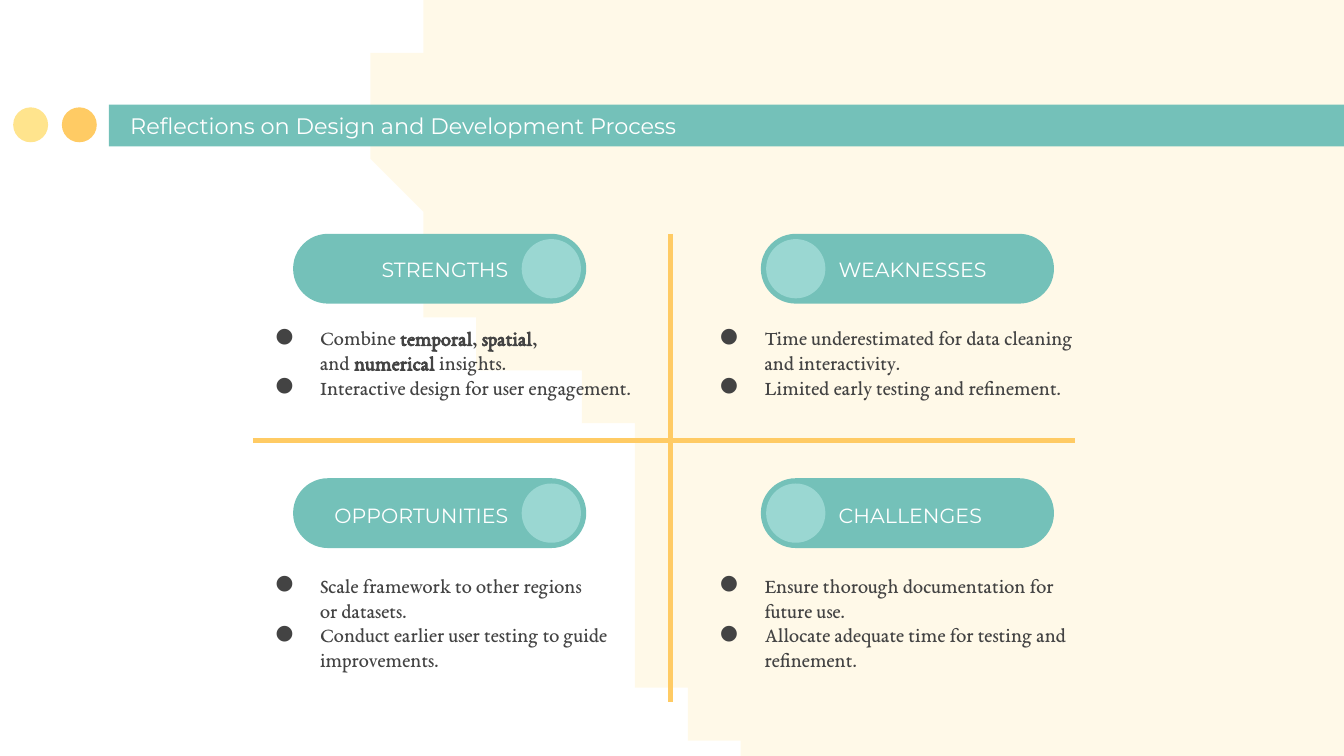
"""Build a four-quadrant reflection slide on a design and development process."""
from lxml.etree import SubElement
from pptx import Presentation
from pptx.dml.color import RGBColor
from pptx.enum.shapes import MSO_CONNECTOR as Connector, MSO_SHAPE as Shape
from pptx.enum.text import MSO_ANCHOR as Anchor, PP_ALIGN as Align
from pptx.oxml.ns import qn
from pptx.util import Cm, Pt

TEAL = RGBColor(0x74, 0xC1, 0xB9)
PALE_TEAL = RGBColor(0x9A, 0xD7, 0xD2)
AMBER = RGBColor(0xFF, 0xCB, 0x64)
YELLOW = RGBColor(0xFF, 0xE4, 0x8D)
WHITE = RGBColor(0xFF, 0xFF, 0xFF)
INK = RGBColor(0x43, 0x43, 0x43)
HEADING_FONT, BODY_FONT = "Montserrat", "EB Garamond"

TITLE = "Reflections on Design and Development Process"
BOLD_MARK = "**"
QUADRANTS = [
    (0, 0, "STRENGTHS", [
        (True, "Combine **temporal**, **spatial**,"),
        (False, "and **numerical** insights."),
        (True, "Interactive design for user engagement.")]),
    (1, 0, "WEAKNESSES", [
        (True, "Time underestimated for data cleaning"),
        (False, "and interactivity."),
        (True, "Limited early testing and refinement.")]),
    (0, 1, "OPPORTUNITIES", [
        (True, "Scale framework to other regions"),
        (False, "or datasets."),
        (True, "Conduct earlier user testing to guide improvements.")]),
    (1, 1, "CHALLENGES", [
        (True, "Ensure thorough documentation for future use."),
        (True, "Allocate adequate time for testing and refinement.")]),
]
BLOB_START = (8.33, -0.89)
BLOB_SEGMENTS = [
    [(7.65, 0.23), (7.26, 1.57), (7.49, 3.02)],
    [(8.18, 7.67), (11.63, 6.76), (12.14, 8.66)],
    [(12.27, 9.12), (12.24, 9.73), (12.14, 10.41)],
    [(11.79, 12.7), (13.49, 14.76), (15.7, 14.76)],
    [(15.82, 14.76)],
    [(16.46, 14.73), (17.09, 14.71), (17.68, 14.71)],
    [(18.47, 14.71), (19.18, 14.73), (19.79, 14.78)],
    [(21.92, 14.99), (21.16, 18.42), (25.22, 19.51)],
    [(25.6, 19.51)],
    [(25.93, 19.51), (26.19, 19.23), (26.19, 18.9)],
    [(26.19, -0.3)],
    [(26.19, -0.56), (26.01, -0.81), (25.78, -0.89)],
]
CURVE_STEPS = 24

PILL_WIDTH, PILL_HEIGHT = 5.54, 1.32
KNOB, KNOB_INSET = 1.12, 0.1
PILL_LEFTS, PILL_TOPS = (5.54, 14.38), (4.42, 9.04)
LABEL_WIDTH, LABEL_TOPS = 3.94, (4.62, 9.27)
BODY_LEFTS, BODY_WIDTHS, BODY_TOPS = (4.78, 13.18), (7.9, 7.44), (6.12, 10.8)
AXES = [(4.78, 8.33, 20.32, 8.33), (12.67, 4.42, 12.67, 13.26)]


def paint(shape, color):
    shape.shadow.inherit = False
    shape.fill.solid()
    shape.fill.fore_color.rgb = color
    shape.line.fill.background()


def add_filled(page, kind, left, top, width, height, color):
    shape = page.shapes.add_shape(kind, Cm(left), Cm(top), Cm(width), Cm(height))
    paint(shape, color)
    return shape


def curve_points(start, controls):
    if len(controls) == 1:
        return controls
    points = []
    for step in range(1, CURVE_STEPS + 1):
        t = step / CURVE_STEPS
        weights = ((1 - t) ** 3, 3 * t * (1 - t) ** 2, 3 * t * t * (1 - t), t ** 3)
        corners = [start, *controls]
        points.append(tuple(sum(w * c[axis] for w, c in zip(weights, corners))
                            for axis in (0, 1)))
    return points


def add_blob(page):
    points, start = [], BLOB_START
    for controls in BLOB_SEGMENTS:
        points += curve_points(start, controls)
        start = controls[-1]
    builder = page.shapes.build_freeform(*BLOB_START, scale=Cm(1))
    builder.add_line_segments(points, close=True)
    blob = builder.convert_to_shape()
    paint(blob, YELLOW)
    color = blob.fill._xPr.find(qn("a:solidFill"))[0]
    SubElement(color, qn("a:alpha"), val="20000")


def add_box(page, left, top, width, height, inset):
    box = page.shapes.add_textbox(Cm(left), Cm(top), Cm(width), Cm(height))
    frame = box.text_frame
    frame.word_wrap = True
    frame.margin_left = frame.margin_right = Cm(inset)
    frame.margin_top = frame.margin_bottom = Cm(inset)
    return frame


def style(font, name, size, color):
    font.name, font.size, font.color.rgb = name, Pt(size), color


def add_heading(page, text, left, top, width, size, align=Align.LEFT):
    frame = add_box(page, left, top, width, 0.86, 0.25)
    frame.text = text
    para = frame.paragraphs[0]
    para.alignment = align
    style(para.runs[0].font, HEADING_FONT, size, WHITE)
    return frame


def indent(para, bulleted):
    properties = para._p.get_or_add_pPr()
    properties.set("marL", str(Cm(1.27)))
    properties.set("indent", str(Cm(-0.84 if bulleted else 0)))
    if bulleted:
        color = SubElement(properties, qn("a:buClr"))
        SubElement(color, qn("a:srgbClr"), val=str(INK))
        SubElement(properties, qn("a:buFont"), typeface=BODY_FONT)
        SubElement(properties, qn("a:buChar"), char="●")
    else:
        SubElement(properties, qn("a:buNone"))


def add_body(page, lines, left, top, width):
    frame = add_box(page, left, top, width, 1.57, 0)
    frame.margin_top = Cm(0.03)
    for number, (bulleted, text) in enumerate(lines):
        para = frame.paragraphs[0] if number == 0 else frame.add_paragraph()
        indent(para, bulleted)
        for position, part in enumerate(text.split(BOLD_MARK)):
            span = para.add_run()
            span.text = part
            style(span.font, BODY_FONT, 11, INK)
            span.font.bold = position % 2 == 1


def add_quadrant(page, column, row, label, lines):
    left, top = PILL_LEFTS[column], PILL_TOPS[row]
    pill = add_filled(page, Shape.ROUNDED_RECTANGLE, left, top,
                      PILL_WIDTH, PILL_HEIGHT, TEAL)
    pill.adjustments[0] = 0.5
    inner = KNOB_INSET + KNOB
    if column == 0:
        knob_left = left + PILL_WIDTH - inner
        label_left, align = knob_left - LABEL_WIDTH, Align.RIGHT
    else:
        knob_left = left + KNOB_INSET
        label_left, align = knob_left + KNOB, Align.LEFT
    add_filled(page, Shape.OVAL, knob_left, top + KNOB_INSET, KNOB, KNOB, PALE_TEAL)
    add_heading(page, label, label_left, LABEL_TOPS[row], LABEL_WIDTH, 11, align)
    add_body(page, lines, BODY_LEFTS[column], BODY_TOPS[row], BODY_WIDTHS[column])


def add_axis(page, ends):
    axis = page.shapes.add_connector(Connector.STRAIGHT, *map(Cm, ends))
    axis.line.color.rgb = AMBER
    axis.line.width = Pt(3)
    SubElement(axis._element.spPr, qn("a:effectLst"))


def main():
    deck = Presentation()
    deck.slide_width, deck.slide_height = Cm(25.4), Cm(14.29)
    page = deck.slides.add_slide(deck.slide_layouts[6])
    add_blob(page)
    add_filled(page, Shape.RECTANGLE, 2.06, 1.98, 24.13, 0.79, TEAL)
    for left, color in ((1.17, AMBER), (0.25, YELLOW)):
        add_filled(page, Shape.OVAL, left, 2.03, 0.66, 0.66, color)
    title = add_heading(page, TITLE, 2.21, 2.01, 13.92, 12)
    title.vertical_anchor = Anchor.BOTTOM
    for quadrant in QUADRANTS:
        add_quadrant(page, *quadrant)
    for ends in AXES:
        add_axis(page, ends)
    deck.save("out.pptx")


if __name__ == "__main__":
    main()
